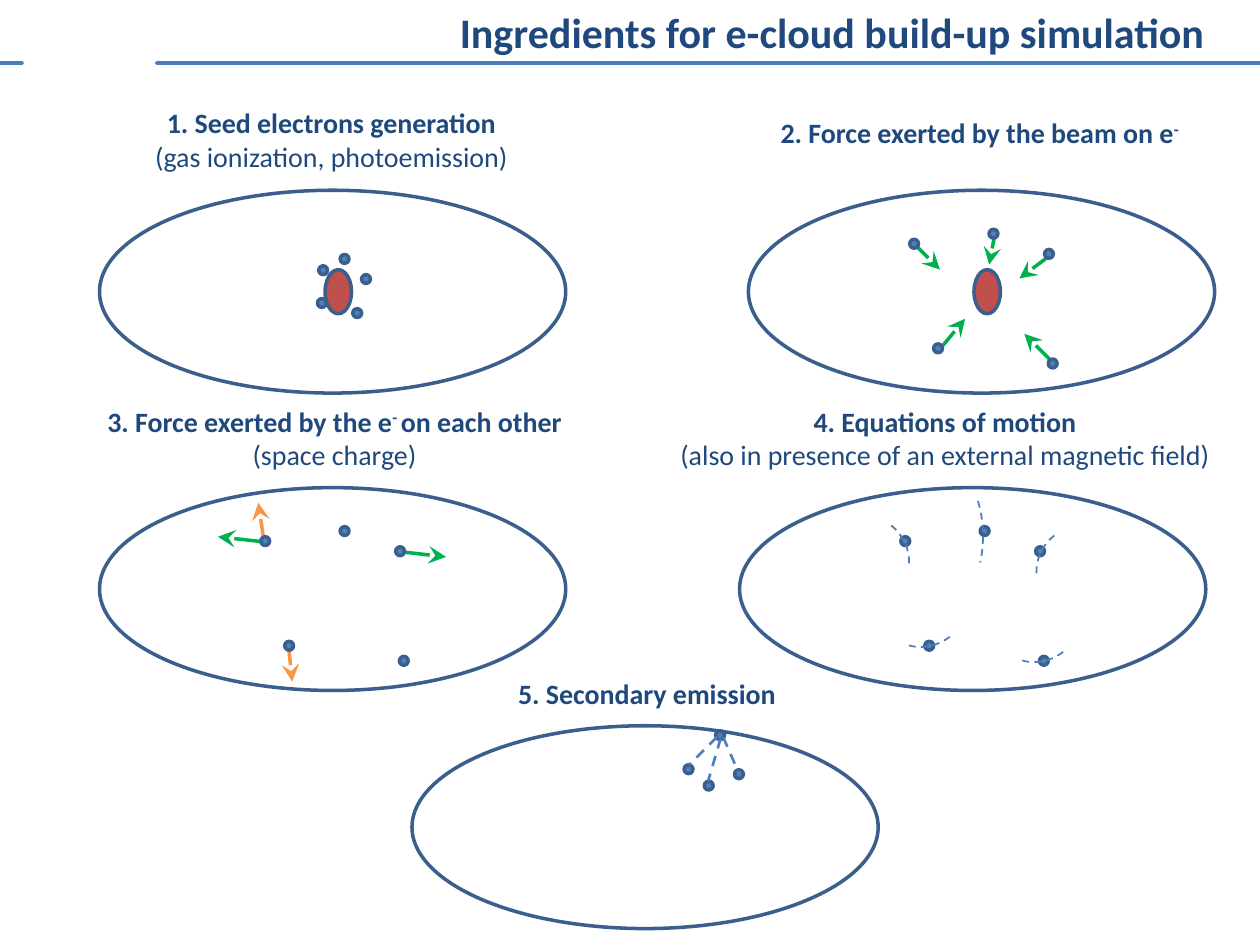
import pptx
import pptx.dml.color
import pptx.enum.dml
import pptx.enum.shapes
import pptx.enum.text
import pptx.oxml.ns
import pptx.util
from lxml import etree

Inches = pptx.util.Inches
SHAPE = pptx.enum.shapes.MSO_SHAPE
ALIGN = pptx.enum.text.PP_ALIGN

NAVY, OUTLINE, BLUE, RULE = "1F497D", "3A5F8C", "4F81BD", "4A7DBA"
TRACK, RED, GREEN, ORANGE = "4B7EBC", "C0504D", "00B050", "F79646"

SEEDS = [(1.74, 0.6), (1.91, 0.51), (2.08, 0.67), (2.01, 0.94), (1.73, 0.86)]
SCATTERED = [(1.91, 0.31), (2.38, 1.34), (2.35, 0.47), (1.28, 0.39), (1.47, 1.22)]
EMITTED = [(2.32, 0.44), (2.16, 0.31), (2.56, 0.35), (2.41, 0.04)]

CHAMBERS = {
    "seeds": (0.79, 1.51, SEEDS, True),
    "beam force": (5.94, 1.51, SCATTERED, True),
    "space charge": (0.79, 3.87, SCATTERED, False),
    "motion": (5.87, 3.87, SCATTERED, False),
    "emission": (3.27, 5.76, EMITTED, False),
}

ARROWS = {
    "beam force": [
        (7.46, 2.77, 7.66, 2.53, GREEN),
        (8.33, 2.03, 8.09, 2.21, GREEN),
        (7.26, 1.94, 7.46, 2.14, GREEN),
        (8.34, 2.86, 8.13, 2.65, GREEN),
        (7.89, 1.89, 7.85, 2.1, GREEN),
    ],
    "space charge": [
        (3.19, 4.38, 3.54, 4.42, GREEN),
        (2.09, 4.3, 1.73, 4.26, GREEN),
        (2.09, 4.26, 2.05, 3.99, ORANGE),
        (2.29, 5.13, 2.32, 5.41, ORANGE),
    ],
}

TRAJECTORIES = [
    (5.85, 3.28, 1.95, 1.96, 39, 304.16, False),
    (6.52, 4.1, 0.71, 0.63, 39, 270, False),
    (8.21, 4.18, 0.71, 0.63, 321, 270, True),
    (6.99, 4.49, 0.71, 0.63, 142.2, 270, False),
    (7.89, 4.61, 0.71, 0.63, 142.2, 270, False),
]
TRAJECTORY_END = 333.13
ADJUSTMENT_PER_DEGREE = 0.6

EMISSION_PATHS = [(5.69, 5.85, 5.47, 6.07), (5.72, 5.86, 5.62, 6.2), (5.74, 5.85, 5.87, 6.15)]

HEADINGS = [
    (0.43, 0.79, 4.45, 0.64, ["1. Seed electrons generation "], "(gas ionization, photoemission) "),
    (5.55, 0.87, 4.45, 0.37, ["2. Force exerted by the beam on e", "-"], None),
    (0.43, 3.16, 4.45, 0.64, ["3. Force exerted by the e", "- ", "on each other"], "(space charge)"),
    (5, 3.16, 5, 0.64, ["4. Equations of motion"],
     "(also in presence of an external magnetic field)"),
    (2.91, 5.32, 4.45, 0.37, ["5. Secondary emission"], None),
]


def color(hex_text):
    return pptx.dml.color.RGBColor.from_string(hex_text)


def style_line(line, hex_text, width, dashed=False):
    line.color.rgb = color(hex_text)
    line.width = pptx.util.Pt(width)
    if dashed:
        line.dash_style = pptx.enum.dml.MSO_LINE.DASH


def style_paragraph(para, size, bold, align):
    para.alignment = align
    para.font.name = "Calibri"
    para.font.size = pptx.util.Pt(size)
    para.font.bold = bold
    para.font.color.rgb = color(NAVY)


def add_ellipse(shapes, left, top, width, height, fill=None):
    ellipse = shapes.add_shape(SHAPE.OVAL, *map(Inches, (left, top, width, height)))
    ellipse.shadow.inherit = False
    if fill:
        ellipse.fill.solid()
        ellipse.fill.fore_color.rgb = color(fill)
    else:
        ellipse.fill.background()
    style_line(ellipse.line, OUTLINE, 2)


def add_line(shapes, ends, hex_text, width, dashed=False, arrow=False, rounded=False):
    line = shapes.add_connector(pptx.enum.shapes.MSO_CONNECTOR.STRAIGHT, *map(Inches, ends))
    style_line(line.line, hex_text, width, dashed)
    stroke = line.line._get_or_add_ln()
    if rounded:
        stroke.set("cap", "rnd")
    if arrow:
        tail = etree.SubElement(stroke, pptx.oxml.ns.qn("a:tailEnd"))
        for key, value in [("type", "stealth"), ("w", "lg"), ("len", "lg")]:
            tail.set(key, value)
    etree.SubElement(line._element.spPr, pptx.oxml.ns.qn("a:effectLst"))


def add_trajectory(shapes, left, top, width, height, rotation, start, flipped):
    arc = shapes.add_shape(SHAPE.ARC, *map(Inches, (left, top, width, height)))
    arc.shadow.inherit = False
    arc.fill.background()
    arc.adjustments[0] = start * ADJUSTMENT_PER_DEGREE
    arc.adjustments[1] = TRAJECTORY_END * ADJUSTMENT_PER_DEGREE
    arc.rotation = rotation
    if flipped:
        arc._element.spPr.xfrm.set("flipH", "1")
    style_line(arc.line, TRACK, 1, dashed=True)


def add_chamber(page, name):
    left, top, electrons, has_beam = CHAMBERS[name]
    shapes = page.shapes.add_group_shape().shapes
    add_ellipse(shapes, left, top, 3.7, 1.61)
    if has_beam:
        add_ellipse(shapes, left + 1.79, top + 0.63, 0.21, 0.35, RED)
    for *ends, hex_text in ARROWS.get(name, []):
        add_line(shapes, ends, hex_text, 2, arrow=True)
    for dx, dy in electrons:
        add_ellipse(shapes, left + dx, top + dy, 0.07, 0.07, BLUE)
    return shapes


def add_heading(page, left, top, width, height, spans, detail):
    box = page.shapes.add_textbox(*map(Inches, (left, top, width, height)))
    frame = box.text_frame
    frame.word_wrap = True
    para = frame.paragraphs[0]
    style_paragraph(para, 16, True, ALIGN.CENTER)
    for text in spans:
        span = para.add_run()
        span.text = text
        if text.strip() == "-":
            span._r.get_or_add_rPr().set("baseline", "30000")
    if detail:
        para = frame.add_paragraph()
        para.text = detail
        style_paragraph(para, 16, False, ALIGN.CENTER)


def add_title(page, text):
    title = page.shapes.title
    title.left, title.top, title.width, title.height = map(Inches, (1.33, 0, 8.33, 0.5))
    frame = title.text_frame
    frame.text = text
    frame.word_wrap = True
    frame.auto_size = pptx.enum.text.MSO_AUTO_SIZE.NONE
    style_paragraph(frame.paragraphs[0], 24, True, ALIGN.RIGHT)


def main():
    deck = pptx.Presentation()
    deck.slide_width, deck.slide_height = Inches(10), Inches(7.5)
    page = deck.slides.add_slide(deck.slide_layouts[5])
    add_title(page, "Ingredients for e-cloud build-up simulation")
    rules = page.shapes.add_group_shape().shapes
    for start, end in [(1.25, 10), (0, 0.17)]:
        add_line(rules, (start, 0.5, end, 0.5), RULE, 2.75, rounded=True)
    chambers = {name: add_chamber(page, name) for name in CHAMBERS}
    for trajectory in TRAJECTORIES:
        add_trajectory(chambers["motion"], *trajectory)
    for ends in EMISSION_PATHS:
        add_line(chambers["emission"], ends, TRACK, 1.5, dashed=True)
    for heading in HEADINGS:
        add_heading(page, *heading)
    deck.save("out.pptx")


if __name__ == "__main__":
    main()
